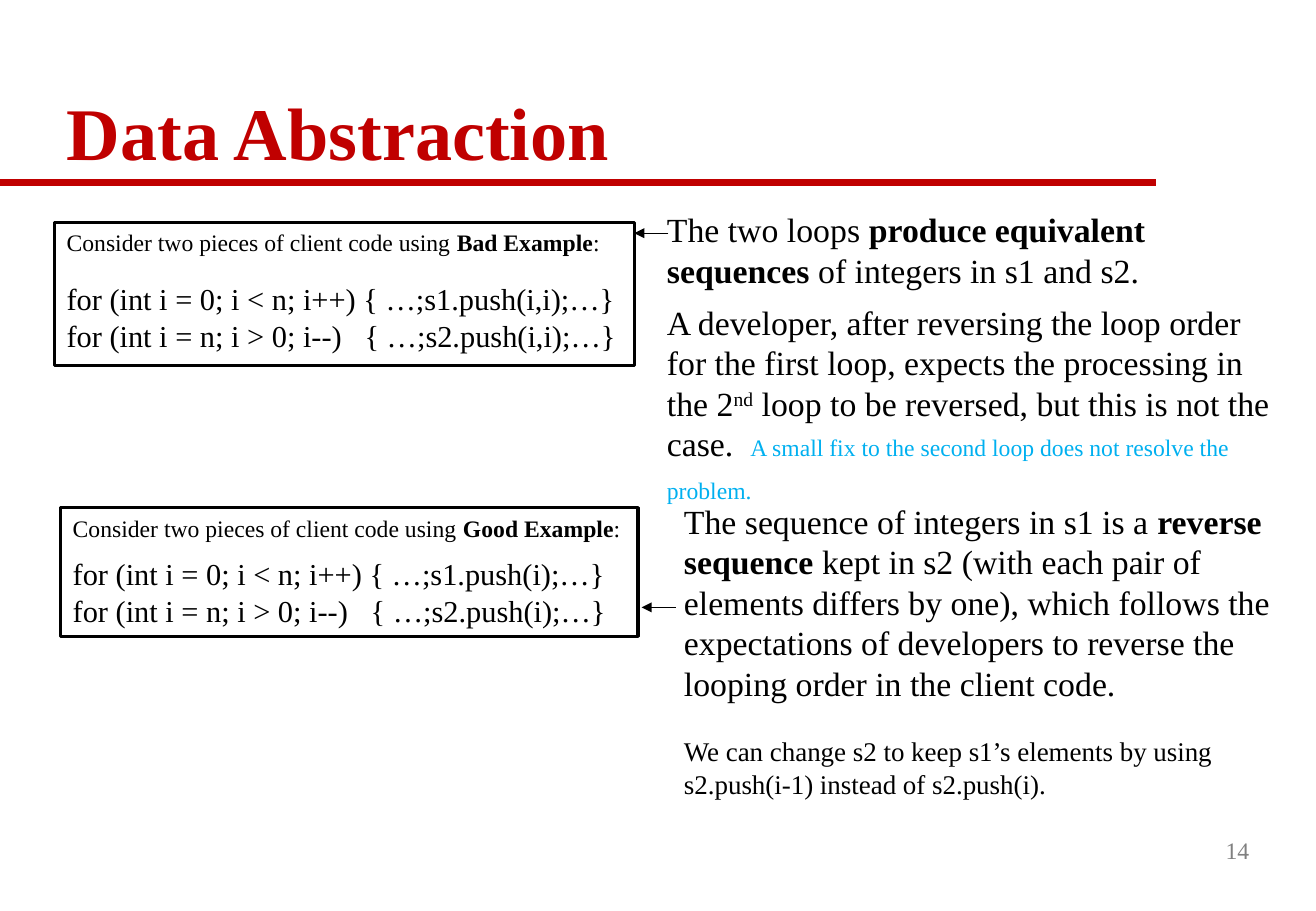
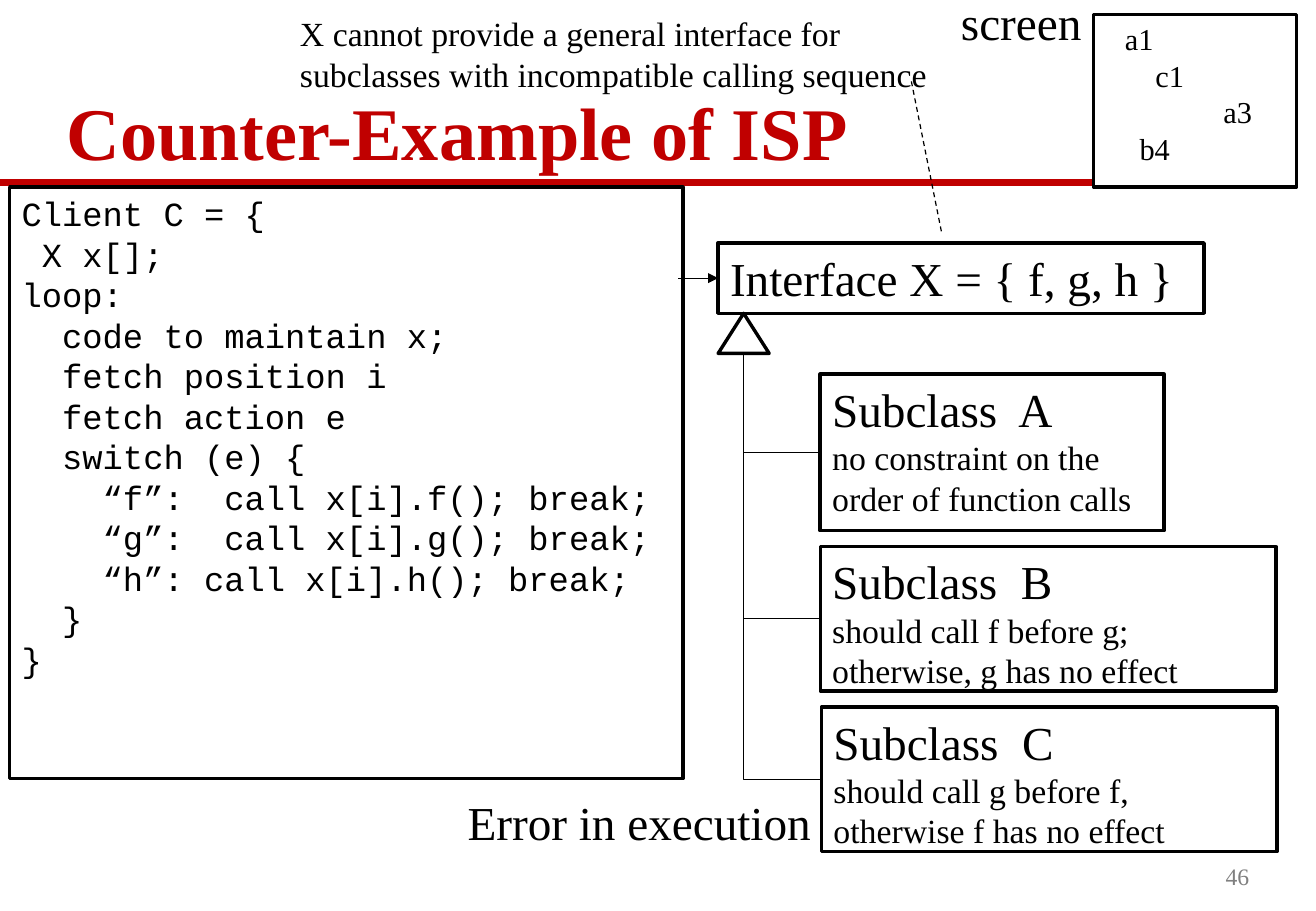
from dataclasses import dataclass
from typing import NamedTuple

from lxml.etree import SubElement
from pptx import Presentation
from pptx.dml.color import RGBColor
from pptx.enum.dml import MSO_LINE
from pptx.enum.shapes import MSO_CONNECTOR, MSO_SHAPE
from pptx.enum.text import MSO_ANCHOR, PP_ALIGN
from pptx.oxml.ns import qn
from pptx.util import Inches, Pt


@dataclass(frozen=True)
class Theme:
    red: RGBColor = RGBColor(0xC0, 0x00, 0x00)
    black: RGBColor = RGBColor(0x00, 0x00, 0x00)
    white: RGBColor = RGBColor(0xFF, 0xFF, 0xFF)
    grey: RGBColor = RGBColor(0x80, 0x80, 0x80)
    blue: RGBColor = RGBColor(0x00, 0xB0, 0xF0)
    serif: str = "Times New Roman"
    mono: str = "Courier New"
    title: int = 44
    heading: int = 28
    body: int = 20
    code: int = 18
    remark: int = 16
    small: int = 14
    leading: float = 1.2


THEME = Theme()


class Box(NamedTuple):
    left: float
    top: float
    width: float
    height: float


class Point(NamedTuple):
    x: float
    y: float


@dataclass(frozen=True)
class Span:
    text: str
    bold: bool = False
    raised: bool = False
    size: int | None = None
    color: RGBColor | None = None


@dataclass(frozen=True)
class Line:
    """One paragraph; gap is the space before it in points."""
    spans: tuple[Span, ...]
    size: int = THEME.body
    gap: int = 0
    indent: float = 0
    font: str = THEME.serif
    color: RGBColor = THEME.black
    bold: bool = False
    align: PP_ALIGN = PP_ALIGN.LEFT
    spacing: float | None = None


def plain(text: str, size: int = THEME.body, **style) -> Line:
    return Line((Span(text),), size, **style)


# Text and shapes
def write(shape, lines: list[Line], wrap: bool = True, anchor=MSO_ANCHOR.TOP) -> None:
    frame = shape.text_frame
    frame.word_wrap = wrap
    frame.vertical_anchor = anchor
    for index, line in enumerate(lines):
        paragraph = frame.add_paragraph() if index else frame.paragraphs[0]
        paragraph.alignment = line.align
        paragraph.line_spacing = line.spacing or Pt(line.size * THEME.leading)
        if line.gap:
            paragraph.space_before = Pt(line.gap)
        if line.indent:
            paragraph._p.get_or_add_pPr().set("marL", str(Inches(line.indent)))
        font = paragraph.font
        font.name, font.size, font.bold = line.font, Pt(line.size), line.bold
        font.color.rgb = line.color
        for span in line.spans:
            run = paragraph.add_run()
            run.text = span.text
            if span.bold:
                run.font.bold = True
            if span.size:
                run.font.size = Pt(span.size)
            if span.color is not None:
                run.font.color.rgb = span.color
            if span.raised:
                run._r.get_or_add_rPr().set("baseline", "30000")


def add_text(slide, box: Box, lines: list[Line], wrap: bool = True, anchor=MSO_ANCHOR.TOP) -> None:
    write(slide.shapes.add_textbox(*map(Inches, box)), lines, wrap, anchor)


def add_frame(slide, box: Box, lines: list[Line] | None = None, wrap: bool = True,
              kind=MSO_SHAPE.RECTANGLE):
    shape = slide.shapes.add_shape(kind, *map(Inches, box))
    shape.shadow.inherit = False
    shape.fill.solid()
    shape.fill.fore_color.rgb = THEME.white
    shape.line.color.rgb = THEME.black
    shape.line.width = Pt(2)
    if lines:
        write(shape, lines, wrap)
    return shape


# Connectors
def add_line(slide, start: Point, end: Point, color: RGBColor = THEME.black, width: float = 0.75,
             arrow: bool = False, dashed: bool = False, kind=MSO_CONNECTOR.STRAIGHT):
    connector = slide.shapes.add_connector(kind, *map(Inches, (*start, *end)))
    connector.line.color.rgb = color
    connector.line.width = Pt(width)
    if dashed:
        connector.line.dash_style = MSO_LINE.DASH
    if arrow:
        SubElement(connector.line._get_or_add_ln(), qn("a:tailEnd"), type="triangle")
    SubElement(connector._element.spPr, qn("a:effectLst"))
    return connector


def add_branch(slide, start: Point, end: Point) -> None:
    """Run down from start, then right to end, with a single bend."""
    connector = add_line(slide, start, end, kind=MSO_CONNECTOR.ELBOW)
    run, drop = end.x - start.x, end.y - start.y
    connector.left = Inches((start.x + end.x - drop) / 2)
    connector.top = Inches((start.y + end.y - run) / 2)
    connector.width, connector.height = Inches(drop), Inches(run)
    properties = connector._element.spPr
    properties.find(qn("a:prstGeom")).set("prst", "bentConnector2")
    transform = properties.find(qn("a:xfrm"))
    transform.set("rot", str(270 * 60000))
    transform.set("flipH", "1")


# Shared title, rule and page number
def start_slide(presentation, title: str, number: int, number_top: float):
    slide = presentation.slides.add_slide(presentation.slide_layouts[6])
    add_line(slide, Point(0, 1.5), Point(9.51, 1.5), THEME.red, 4)
    add_text(slide, Box(0.45, 0.29, 9.88, 1.21),
             [plain(title, THEME.title, color=THEME.red, bold=True, spacing=0.9)],
             anchor=MSO_ANCHOR.BOTTOM)
    add_text(slide, Box(8.12, number_top, 2.26, 0.5),
             [plain(str(number), THEME.small, color=THEME.grey, align=PP_ALIGN.RIGHT)],
             anchor=MSO_ANCHOR.MIDDLE)
    return slide


def client_code(example: str, arguments: str, gap: int) -> list[Line]:
    return [
        Line((Span("Consider two pieces of client code using "), Span(example, bold=True), Span(":")),
             THEME.small),
        plain(f"for (int i = 0; i < n; i++) {{ …;s1.push({arguments});…}}", THEME.code, gap=gap),
        plain(f"for (int i = n; i > 0; i--)   {{ …;s2.push({arguments});…}}", THEME.code),
    ]


def build_abstraction(presentation) -> None:
    slide = start_slide(presentation, "Data Abstraction", 14, 6.75)

    # Bad example and its explanation
    add_frame(slide, Box(0.45, 1.83, 4.77, 1.18), client_code("Bad Example", "i,i", 14), wrap=False)
    add_text(slide, Box(5.39, 1.67, 5.27, 2.46), [
        Line((Span("The two loops "), Span("produce equivalent sequences ", bold=True),
              Span("of integers in s1 and s2."))),
        Line((Span("A developer, after reversing the loop order for the first loop, "
                   "expects the processing in the 2"),
              Span("nd", raised=True),
              Span(" loop to be reversed, but this is not the case.  "),
              Span("A small fix to the second loop does not resolve the problem.",
                   size=THEME.small, color=THEME.blue)), gap=7),
    ])

    # Good example and its explanation
    add_frame(slide, Box(0.5, 4.18, 4.75, 1.06), client_code("Good Example", "i", 8), wrap=False)
    add_text(slide, Box(5.53, 4.07, 5.42, 2.59), [
        Line((Span("The sequence of integers in s1 is a "), Span("reverse sequence ", bold=True),
              Span("kept in s2 (with each pair of elements differs by one), which follows the "
                   "expectations of developers to reverse the looping order in the client code."))),
        plain("We can change s2 to keep s1’s elements by using s2.push(i-1) instead of s2.push(i).",
              THEME.remark, gap=19),
    ])

    for start in (Point(5.5, 1.92), Point(5.56, 5)):
        add_line(slide, start, Point(start.x - 0.28, start.y), arrow=True)


CLIENT = """Client C = {
 X x[];
loop:
  code to maintain x;
  fetch position i
  fetch action e
  switch (e) {
    “f”:  call x[i].f(); break;
    “g”:  call x[i].g(); break;
    “h”: call x[i].h(); break;
  }
}"""

SUBCLASSES = (
    ("A", "no constraint on the order of function calls", Box(6.75, 3.08, 2.83, 1.29)),
    ("B", "should call f before g; otherwise, g has no effect", Box(6.75, 4.5, 3.75, 1.19)),
    ("C", "should call g before f, otherwise f has no effect", Box(6.76, 5.82, 3.75, 1.19)),
)

SCREEN_ITEMS = (("a1", 0), ("c1", 0.25), ("a3", 0.81), ("b4", 0.12))


def build_counter_example(presentation) -> None:
    slide = start_slide(presentation, "Counter-Example of ISP", 46, 6.96)

    # Interface and its subclasses
    interface = add_frame(slide, Box(5.91, 2, 4, 0.58),
                          [plain("Interface X = { f, g, h }", THEME.heading)])
    for name, rule, box in SUBCLASSES:
        add_frame(slide, box, [plain(f"Subclass  {name}", THEME.heading), plain(rule)])
    add_frame(slide, Box(5.91, 2.58, 0.42, 0.33), kind=MSO_SHAPE.ISOSCELES_TRIANGLE)
    for _, _, box in SUBCLASSES:
        add_branch(slide, Point(6.12, 2.92), Point(box.left, box.top + box.height / 2))

    # Client code
    add_frame(slide, Box(0.08, 1.54, 5.54, 4.87),
              [plain(text, font=THEME.mono) for text in CLIENT.splitlines()])

    # Screen
    add_frame(slide, Box(9, 0.12, 1.67, 1.42))
    add_text(slide, Box(9.16, 0.12, 2, 1.31),
             [plain(text, THEME.code, indent=indent) for text, indent in SCREEN_ITEMS])

    # Client uses the interface
    arrow = add_line(slide, Point(5.58, 2.29), Point(5.91, 2.29), arrow=True)
    arrow.end_connect(interface, 1)

    # Remarks
    add_text(slide, Box(2.37, 0.06, 5.75, 0.77), [
        plain("X cannot provide a general interface for subclasses with incompatible calling sequence")])
    add_text(slide, Box(7.81, -0.1, 1.2, 0.57), [plain("screen", THEME.heading)], wrap=False)
    add_text(slide, Box(3.75, 6.48, 3.06, 0.57), [plain("Error in execution", THEME.heading)], wrap=False)
    add_line(slide, Point(7.5, 0.67), Point(7.75, 1.92), dashed=True)


def main() -> None:
    presentation = Presentation()
    presentation.slide_width = Inches(10.83)
    presentation.slide_height = Inches(7.5)
    build_abstraction(presentation)
    build_counter_example(presentation)
    presentation.save("out.pptx")


if __name__ == "__main__":
    main()
